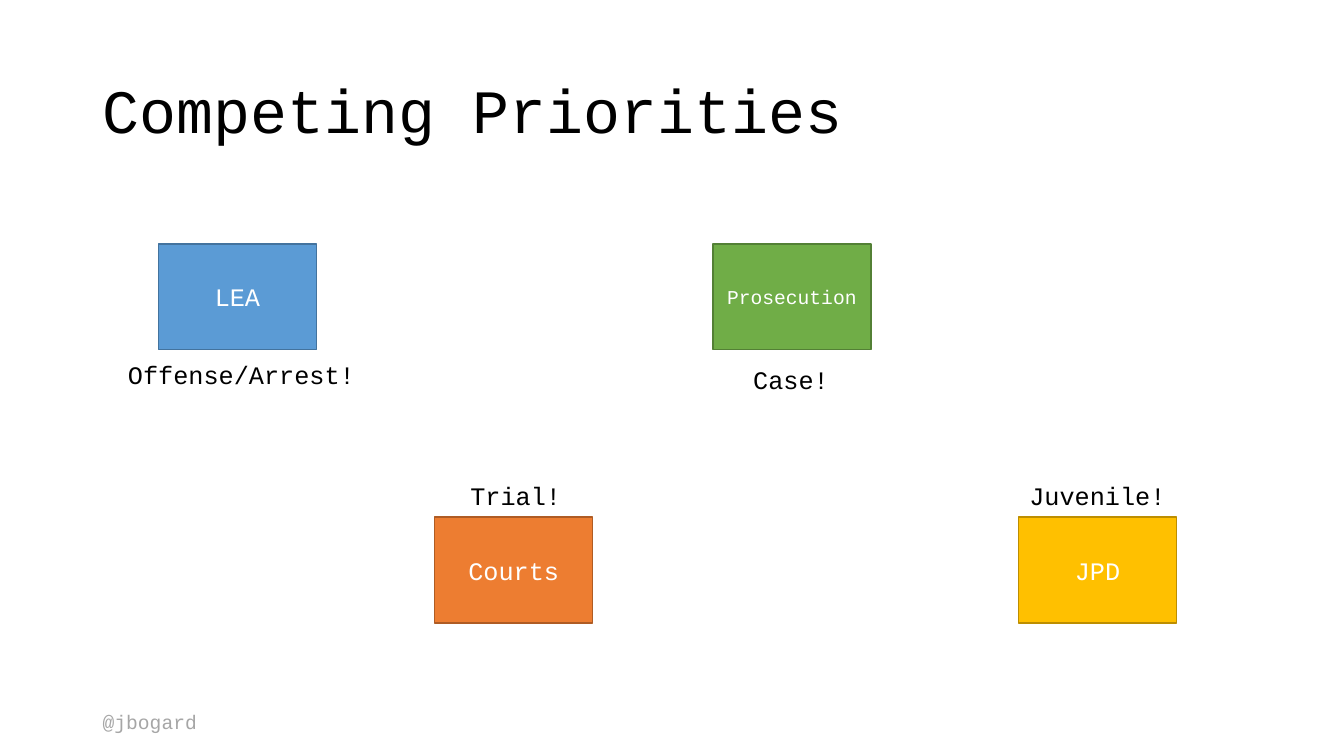
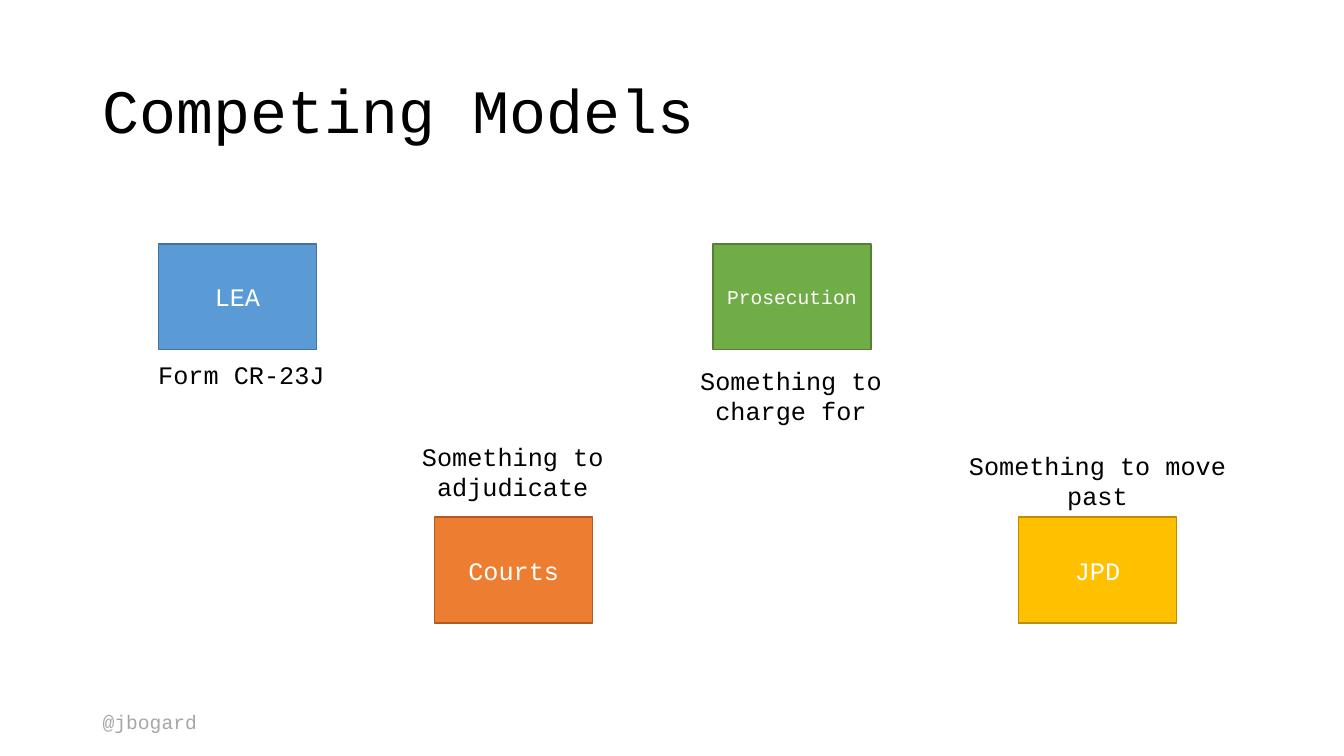
from dataclasses import dataclass

from pptx import Presentation
from pptx.dml.color import RGBColor
from pptx.enum.shapes import MSO_SHAPE as Shape
from pptx.enum.text import MSO_ANCHOR as Anchor, MSO_AUTO_SIZE as AutoSize, PP_ALIGN as Align
from pptx.util import Emu, Pt

PX = 9144
FONT = "Courier New"
COLORS = {
    "text": "000000", "label": "FFFFFF", "footer": "A6A6A6",
    "blue": "5B9BD5", "blue_edge": "43739E",
    "orange": "ED7D31", "orange_edge": "AF5C24",
    "gold": "FFC000", "gold_edge": "BD8E00",
    "green": "70AD47", "green_edge": "538035",
}
SLIDE_SIZE = (1333, 750)
TITLE_BOX = (92, 40, 1150, 145)
FOOTER_BOX = (92, 699, 146, 34)
AGENCY_SIZE = (157, 105)
CAPTION_WIDTH = 287
CAPTION_HEIGHTS = {1: 40, 2: 71}
UPPER, LOWER = 242, 513


@dataclass
class Agency:
    """A coloured box in the diagram."""
    name: str
    left: int
    top: int
    color: str
    size: int = 18


@dataclass
class Caption:
    """A remark placed by its offset from the agency box."""
    text: str
    dx: int
    dy: int
    lines: int = 1


AGENCIES = [
    Agency("LEA", 157, UPPER, "blue"),
    Agency("Courts", 431, LOWER, "orange"),
    Agency("JPD", 1010, LOWER, "gold"),
    Agency("Prosecution", 707, UPPER, "green", 14),
]
SLIDES = {
    "Competing Priorities": {
        "LEA": Caption("Offense/Arrest!", -61, 110),
        "Courts": Caption("Trial!", -63, -41),
        "Prosecution": Caption("Case!", -66, 115),
        "JPD": Caption("Juvenile!", -65, -41),
    },
    "Competing Models": {
        "LEA": Caption("Form CR-23J", -61, 110),
        "Courts": Caption("Something to adjudicate", -66, -80, 2),
        "Prosecution": Caption("Something to charge for", -66, 115, 2),
        "JPD": Caption("Something to move past", -65, -71, 2),
    },
}


def emu(box):
    """Turn px lengths into EMU."""
    return [Emu(length * PX) for length in box]


def rgb(name):
    """Look up a named colour."""
    return RGBColor.from_string(COLORS[name])


def write(frame, text, size=18, color="text", align=Align.CENTER, anchor=Anchor.TOP,
          spacing=1.0, fit=AutoSize.NONE):
    """Fill a text frame with one formatted paragraph."""
    frame.word_wrap = True
    frame.auto_size = fit
    frame.vertical_anchor = anchor
    paragraph = frame.paragraphs[0]
    paragraph.alignment = align
    paragraph.line_spacing = spacing
    run = paragraph.add_run()
    run.text = text
    run.font.name = FONT
    run.font.size = Pt(size)
    run.font.color.rgb = rgb(color)


def add_title(slide, text, box):
    """Move and fill the title placeholder."""
    title = slide.shapes.title
    title.left, title.top, title.width, title.height = emu(box)
    write(title.text_frame, text, size=44, align=Align.LEFT, anchor=Anchor.MIDDLE, spacing=0.9)


def add_text(slide, text, box, **style):
    """Place a text box that grows with its text."""
    textbox = slide.shapes.add_textbox(*emu(box))
    write(textbox.text_frame, text, fit=AutoSize.SHAPE_TO_FIT_TEXT, **style)


def add_agency(slide, agency):
    """Draw one agency box with its name."""
    box = (agency.left, agency.top, *AGENCY_SIZE)
    block = slide.shapes.add_shape(Shape.RECTANGLE, *emu(box))
    block.shadow.inherit = False
    block.fill.solid()
    block.fill.fore_color.rgb = rgb(agency.color)
    block.line.color.rgb = rgb(agency.color + "_edge")
    block.line.width = Pt(1)
    write(block.text_frame, agency.name, size=agency.size, color="label", anchor=Anchor.MIDDLE)


def add_caption(slide, agency, caption):
    """Place a caption relative to its agency box."""
    box = (agency.left + caption.dx, agency.top + caption.dy,
           CAPTION_WIDTH, CAPTION_HEIGHTS[caption.lines])
    add_text(slide, caption.text, box)


def build_slide(deck, title, captions):
    """Build one slide of agencies and their captions."""
    slide = deck.slides.add_slide(deck.slide_layouts[5])
    add_text(slide, "@jbogard", FOOTER_BOX, size=14, color="footer", align=Align.LEFT)
    add_title(slide, title, TITLE_BOX)
    for agency in AGENCIES:
        add_agency(slide, agency)
        add_caption(slide, agency, captions[agency.name])


def main():
    """Build and save the presentation."""
    deck = Presentation()
    deck.slide_width, deck.slide_height = emu(SLIDE_SIZE)
    for title, captions in SLIDES.items():
        build_slide(deck, title, captions)
    deck.save("out.pptx")


if __name__ == "__main__":
    main()
